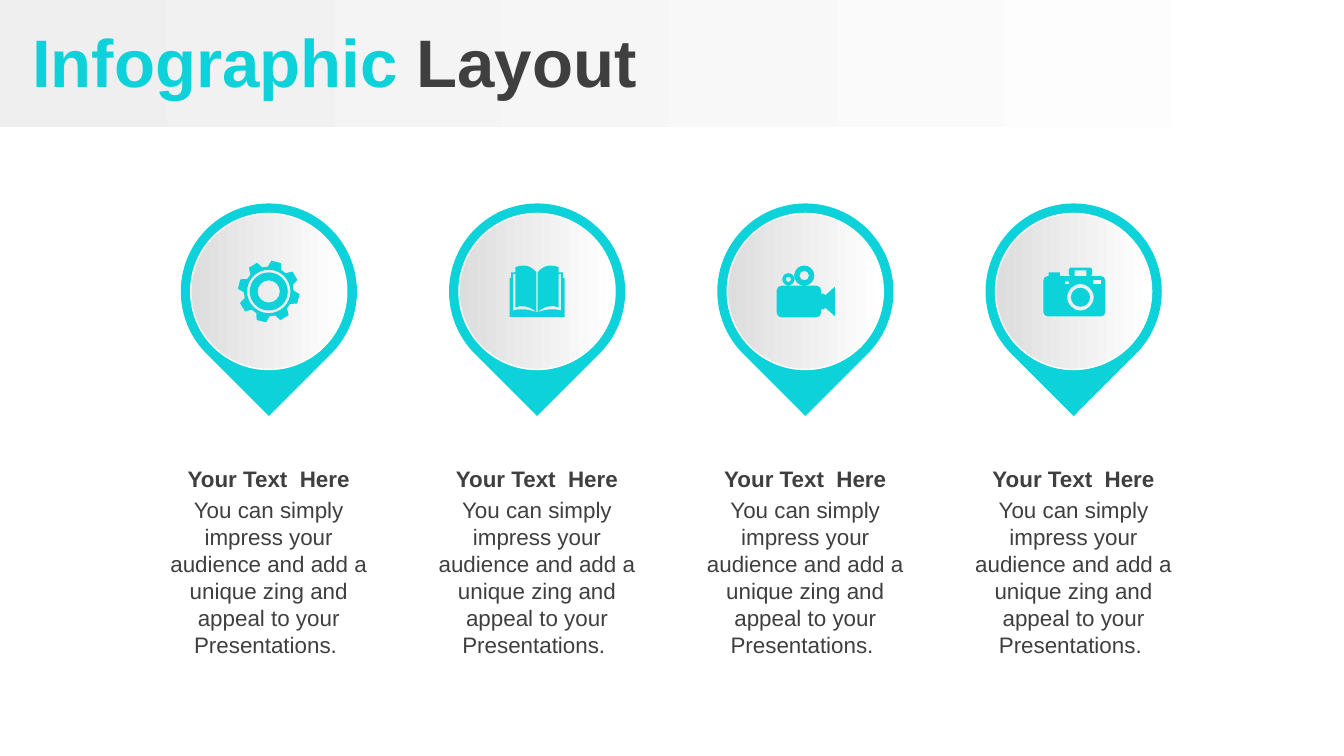
import math

from pptx import Presentation
from pptx.dml.color import RGBColor
from pptx.enum import shapes, text
from pptx.oxml import ns
from pptx.util import Cm, Pt

CYAN = RGBColor(0x0D, 0xD2, 0xD9)
DARK = RGBColor(0x3F, 0x3F, 0x3F)
WHITE = RGBColor(0xFF, 0xFF, 0xFF)
SILVER = RGBColor(0xDD, 0xDD, 0xDD)
PALE = RGBColor(0xEF, 0xEF, 0xEF)

FONT = "Arial"
HEADING = "Your Text  Here"
BODY = ("You can simply impress your audience and add a unique zing "
        "and appeal to your Presentations. ")
FIRST_X, PITCH, PIN_Y = 5.08, 5.07, 5.51
TEXT_W = 4.32
ARC = 0.55


def add_run(p, content, size=12, color=DARK, bold=False):
    r = p.add_run()
    r.text = content
    r.font.name = FONT
    r.font.size = Pt(size)
    r.font.bold = bold
    r.font.color.rgb = color


def add_text(s, content, x, y, w, h, **fmt):
    tf = s.shapes.add_textbox(Cm(x), Cm(y), Cm(w), Cm(h)).text_frame
    tf.word_wrap = True
    p = tf.paragraphs[0]
    p.alignment = text.PP_ALIGN.CENTER
    add_run(p, content, **fmt)


def add_shape(s, kind, x, y, w, h, color, fade=False):
    sp = s.shapes.add_shape(kind, Cm(x), Cm(y), Cm(w), Cm(h))
    sp.shadow.inherit = False
    sp.line.fill.background()
    if fade:
        sp.fill.gradient()
        sp.fill.gradient_angle = 0
        for stop, rgb in zip(sp.fill.gradient_stops, (color, WHITE)):
            stop.color.rgb = rgb
    else:
        sp.fill.solid()
        sp.fill.fore_color.rgb = color
    return sp


def add_pin(s, cx):
    size, disc = 3.33, 2.95
    sp = add_shape(s, shapes.MSO_SHAPE.TEAR, cx - size / 2, PIN_Y - size / 2,
                   size, size, CYAN)
    sp.rotation = 135
    sp = add_shape(s, shapes.MSO_SHAPE.OVAL, cx - disc / 2, PIN_Y - disc / 2,
                   disc, disc, SILVER, fade=True)
    sp.line.color.rgb = WHITE
    sp.line.width = Pt(0.75)


def bend_curves(sp, contours):
    lines = iter(list(sp._element.iter(ns.qn("a:lnTo"))))
    for contour in contours:
        for step in contour[1:]:
            node = next(lines)
            if len(step) == 6:
                node.tag = ns.qn("a:cubicBezTo")
                for _ in range(2):
                    extra = next(lines)
                    node.append(extra[0])
                    extra.getparent().remove(extra)


def add_icon(s, cx, contours):
    fb = None
    for contour in contours:
        flat = [10 * v for step in contour for v in step]
        points = list(zip(flat[::2], flat[1::2]))
        if fb is None:
            fb = s.shapes.build_freeform(*points[0], scale=Cm(0.001))
        else:
            fb.move_to(*points[0])
        fb.add_line_segments(points[1:], close=True)
    sp = fb.convert_to_shape(Cm(cx), Cm(PIN_Y))
    bend_curves(sp, contours)
    sp.shadow.inherit = False
    sp.fill.solid()
    sp.fill.fore_color.rgb = CYAN
    sp.line.fill.background()


def polar(r, degrees):
    a = math.radians(degrees)
    return r * math.cos(a), r * math.sin(a)


def box(x1, y1, x2, y2):
    return [(x1, y1), (x2, y1), (x2, y2), (x1, y2)]


def round_box(x1, y1, x2, y2, r):
    k = r * (1 - ARC)
    steps = [(x1, y1 + r),
             (x1, y1 + k, x1 + k, y1, x1 + r, y1), (x2 - r, y1),
             (x2 - k, y1, x2, y1 + k, x2, y1 + r), (x2, y2 - r),
             (x2, y2 - k, x2 - k, y2, x2 - r, y2), (x1 + r, y2),
             (x1 + k, y2, x1, y2 - k, x1, y2 - r)]
    return [step for i, step in enumerate(steps)
            if i == 0 or step != steps[i - 1][-2:]]


def circle(cx, cy, r):
    steps = round_box(cx - r, cy - r, cx + r, cy + r, r)
    return steps[:1] + [step for step in steps if len(step) == 6]


def mirrored(contour):
    return [tuple(v if i % 2 else -v for i, v in enumerate(step))
            for step in contour]


def gear():
    tooth = [(-16, 47), (-9, 58.5), (9, 58.5), (16, 47)]
    rim = [polar(r, 45 * i - 76 + a) for i in range(8) for a, r in tooth]
    return [rim] + [circle(0, 0, r) for r in (41, 36, 21)]


def book():
    cover = [(0, 48), (-52, 48), (-52, -25), (-49, -25), (-49, -36),
             (-41, -36), (-41, -46), (-36, -48, -31, -49, -25, -49),
             (-18, -49, -9, -46, -1, -36), (-1, 39), (0, 39)]
    margin = [(-45, -33), (-41, -33), (-41, 30), (-28, 25, -14, 28, -1, 39),
              (-18, 34, -28, 31, -45, 36)]
    return [cover, margin, mirrored(cover), mirrored(margin)]


def camcorder():
    lens = [(30, 4), (35, 4), (38, 7), (56, -9), (56, 47), (38, 31),
            (35, 34), (30, 34)]
    return [round_box(-54, -11, 30, 49, 9), lens,
            circle(-32, -23, 11.5), circle(-32, -23, 5),
            circle(-2, -30, 19), circle(-2, -30, 9)]


def camera():
    return [round_box(-57, -29, 60, 47, 8), box(-47, -36, -26, -29),
            round_box(-9, -45, 35, -29, 3), box(2, -40, 24, -29),
            box(-16, -19, -9, -14), box(37, -22, 52, -14),
            circle(13, 11, 25), circle(13, 11, 18)]


def add_header(s):
    band = add_shape(s, shapes.MSO_SHAPE.RECTANGLE, 0, 0, 25.3, 2.4, PALE,
                     fade=True)
    s.shapes._spTree.insert(2, band._element)
    sp = s.shapes.title
    sp.left, sp.top, sp.width, sp.height = Cm(0), Cm(0.07), Cm(25.4), Cm(2.15)
    tf = sp.text_frame
    tf.vertical_anchor = text.MSO_ANCHOR.MIDDLE
    p = tf.paragraphs[0]
    p.alignment = text.PP_ALIGN.LEFT
    add_run(p, " Infographic ", size=36, color=CYAN, bold=True)
    add_run(p, "Layout", size=36, bold=True)


def main():
    prs = Presentation()
    prs.slide_width, prs.slide_height = Cm(25.4), Cm(14.29)
    s = prs.slides.add_slide(prs.slide_layouts[5])
    add_header(s)
    for i, icon in enumerate((gear, book, camcorder, camera)):
        cx = FIRST_X + i * PITCH
        add_pin(s, cx)
        add_icon(s, cx, icon())
        left = cx - TEXT_W / 2
        add_text(s, BODY, left, 9.26, TEXT_W, 3.33)
        add_text(s, HEADING, left, 8.66, TEXT_W, 0.76, bold=True)
    prs.save("out.pptx")


if __name__ == "__main__":
    main()
